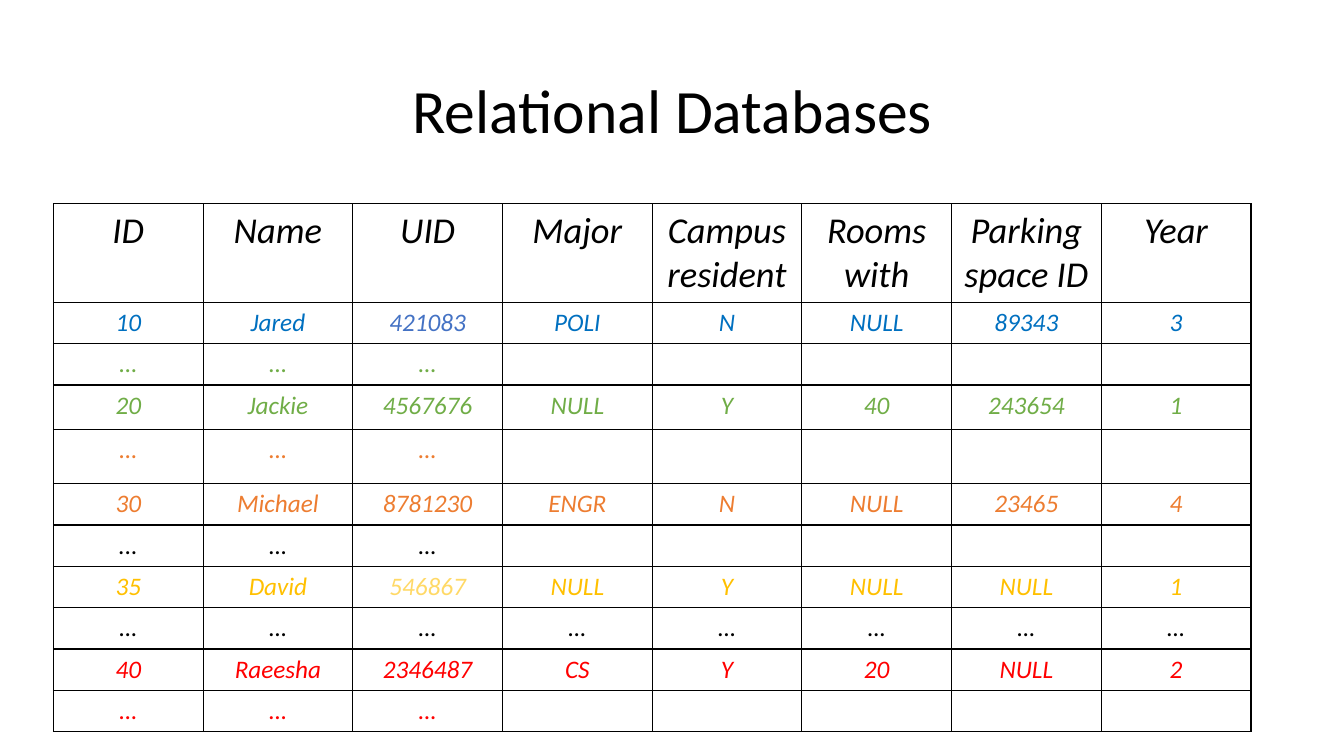
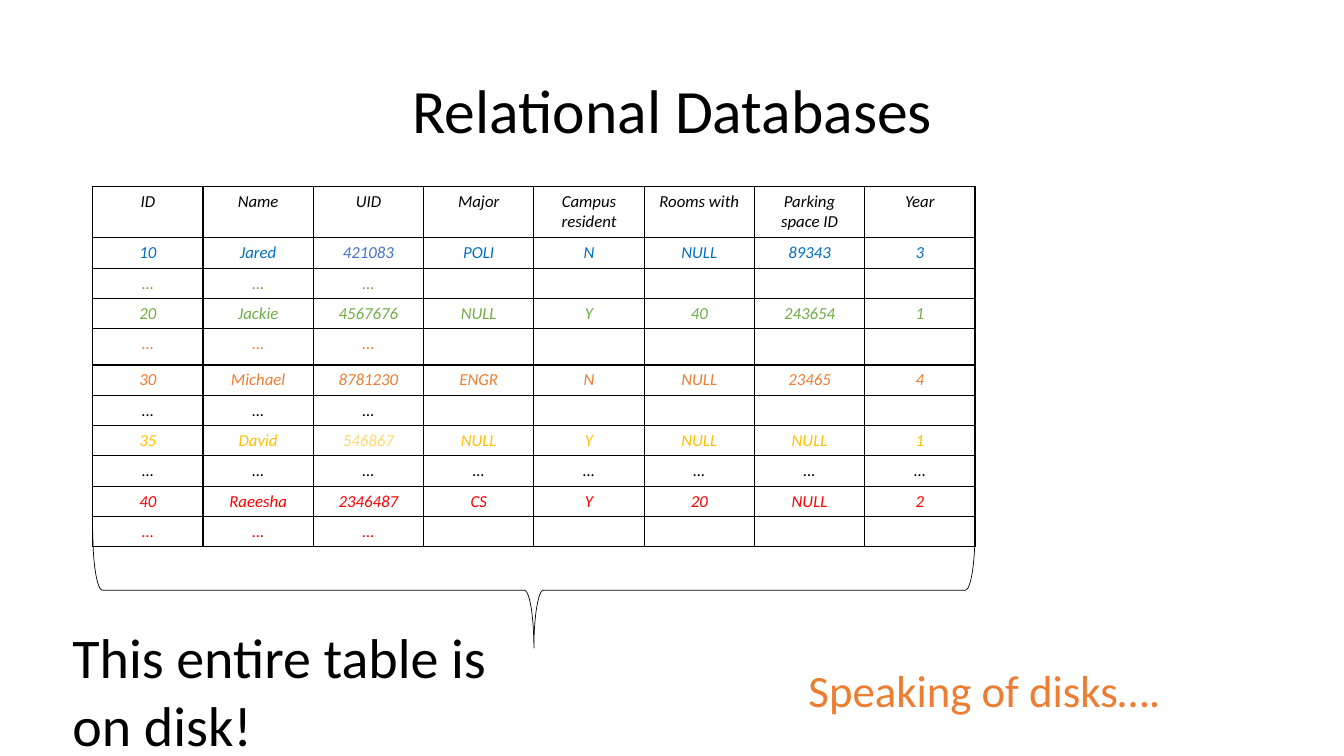
from lxml import etree
from pptx import Presentation
from pptx import util as u
from pptx.dml.color import RGBColor
from pptx.enum import shapes, text
from pptx.oxml.ns import qn

FONT = "Calibri"
BLACK, BLUE, GREEN, ORANGE = "000000", "0070C0", "70AD47", "ED7D31"
GOLD, RED = "FFC000", "FF0000"
SLIDE_W, SLIDE_H = 13.33, 7.5
TITLE = "Relational Databases"

HEADERS = ["ID", "Name", "UID", "Major", "Campus resident", "Rooms with",
           "Parking space ID", "Year"]
DOTS = ["…"] * 3
RECORDS = [
    (BLUE, ["10", "Jared", "421083", "POLI", "N", "NULL", "89343", "3"]),
    (GREEN, DOTS),
    (GREEN, ["20", "Jackie", "4567676", "NULL", "Y", "40", "243654", "1"]),
    (ORANGE, DOTS),
    (ORANGE, ["30", "Michael", "8781230", "ENGR", "N", "NULL", "23465", "4"]),
    (BLACK, ["...", "…", "…"]),
    (GOLD, ["35", "David", "546867", "NULL", "Y", "NULL", "NULL", "1"]),
    (BLACK, ["…"] * len(HEADERS)),
    (RED, ["40", "Raeesha", "2346487", "CS", "Y", "20", "NULL", "2"]),
    (RED, DOTS),
]
UID_COLORS = {"421083": "4472C4", "546867": "FFD966"}

# Row heights: header, ordinary row, and the rows that differ by index
LARGE = dict(box=(0.53, 2.02, 11.88), head_size=26, size=18,
             head_h=0.98, row_h=0.41, odd_rows={3: 0.44, 4: 0.54})
SMALL = dict(box=(0.92, 1.85, 8.75), head_size=12, size=12,
             head_h=0.51, row_h=0.3, odd_rows={4: 0.36})


def rgb(color):
    return RGBColor.from_string(color)


def write(tf, content, size, color=BLACK, italic=False, align=None, spacing=None):
    p = tf.paragraphs[0]
    if align is not None:
        p.alignment = align
    if spacing:
        p.line_spacing = spacing
    if not content:
        # An empty cell still needs its size, which sets the row height
        p._p.get_or_add_endParaRPr().set("sz", str(size * 100))
        return
    r = p.add_run()
    r.text = content
    r.font.name, r.font.size = FONT, u.Pt(size)
    r.font.italic = italic
    r.font.color.rgb = rgb(color)


def add_text(s, box, content, size, anchor=text.MSO_ANCHOR.TOP, grow=True, **fmt):
    tf = s.shapes.add_textbox(*map(u.Inches, box)).text_frame
    tf.word_wrap = True
    tf.vertical_anchor = anchor
    if grow:
        tf.auto_size = text.MSO_AUTO_SIZE.SHAPE_TO_FIT_TEXT
    write(tf, content, size, **fmt)


def add_titled_slide(prs):
    s = prs.slides.add_slide(prs.slide_layouts[6])
    add_text(s, (0.92, 0.4, 11.5, 1.45), TITLE, 44, grow=False,
             anchor=text.MSO_ANCHOR.MIDDLE, align=text.PP_ALIGN.CENTER, spacing=0.9)
    return s


def outline(cell):
    """Clear the cell's fill and draw a thin black border on all sides."""
    tc_pr = cell._tc.get_or_add_tcPr()
    for side in ("lnL", "lnR", "lnT", "lnB"):
        ln = etree.SubElement(tc_pr, qn(f"a:{side}"), w=str(u.Pt(1)))
        fill = etree.SubElement(ln, qn("a:solidFill"))
        etree.SubElement(fill, qn("a:srgbClr"), val=BLACK)
    cell.fill.background()


def add_student_table(s, box, head_size, size, head_h, row_h, odd_rows):
    rows = [(BLACK, HEADERS)] + RECORDS
    heights = [head_h] + [odd_rows.get(i, row_h) for i in range(1, len(rows))]
    left, top, width = box
    table = s.shapes.add_table(len(rows), len(HEADERS), u.Inches(left), u.Inches(top),
                               u.Inches(width), u.Inches(sum(heights))).table
    table.first_row = table.horz_banding = False
    for col in table.columns:
        col.width = u.Inches(width / len(HEADERS))
    for i, (color, values) in enumerate(rows):
        table.rows[i].height = u.Inches(heights[i])
        for j in range(len(HEADERS)):
            cell = table.cell(i, j)
            value = values[j] if j < len(values) else ""
            outline(cell)
            write(cell.text_frame, value, size if i else head_size,
                  color=UID_COLORS.get(value, color), italic=True,
                  align=text.PP_ALIGN.CENTER)


def add_brace_below(s, left, width, top, depth):
    """Add a brace that spans the width and points down."""
    x, y = left + (width - depth) / 2, top + (depth - width) / 2
    brace = s.shapes.add_shape(shapes.MSO_SHAPE.RIGHT_BRACE,
                               *map(u.Inches, (x, y, depth, width)))
    brace.rotation = 90
    brace.shadow.inherit = False
    brace.fill.background()
    brace.line.color.rgb = rgb(BLACK)
    brace.line.width = u.Pt(0.5)


def main():
    prs = Presentation()
    prs.slide_width, prs.slide_height = u.Inches(SLIDE_W), u.Inches(SLIDE_H)

    add_student_table(add_titled_slide(prs), **LARGE)

    s = add_titled_slide(prs)
    add_student_table(s, **SMALL)
    left, _, width = SMALL["box"]
    add_brace_below(s, left, width, top=5.28, depth=1.15)
    add_text(s, (0.62, 6.13, 4.88, 1.45), "This entire table is on disk!", 40)
    add_text(s, (7.92, 6.53, 4.2, 0.64), "Speaking of disks….", 32, color=ORANGE)

    prs.save("out.pptx")


if __name__ == "__main__":
    main()
